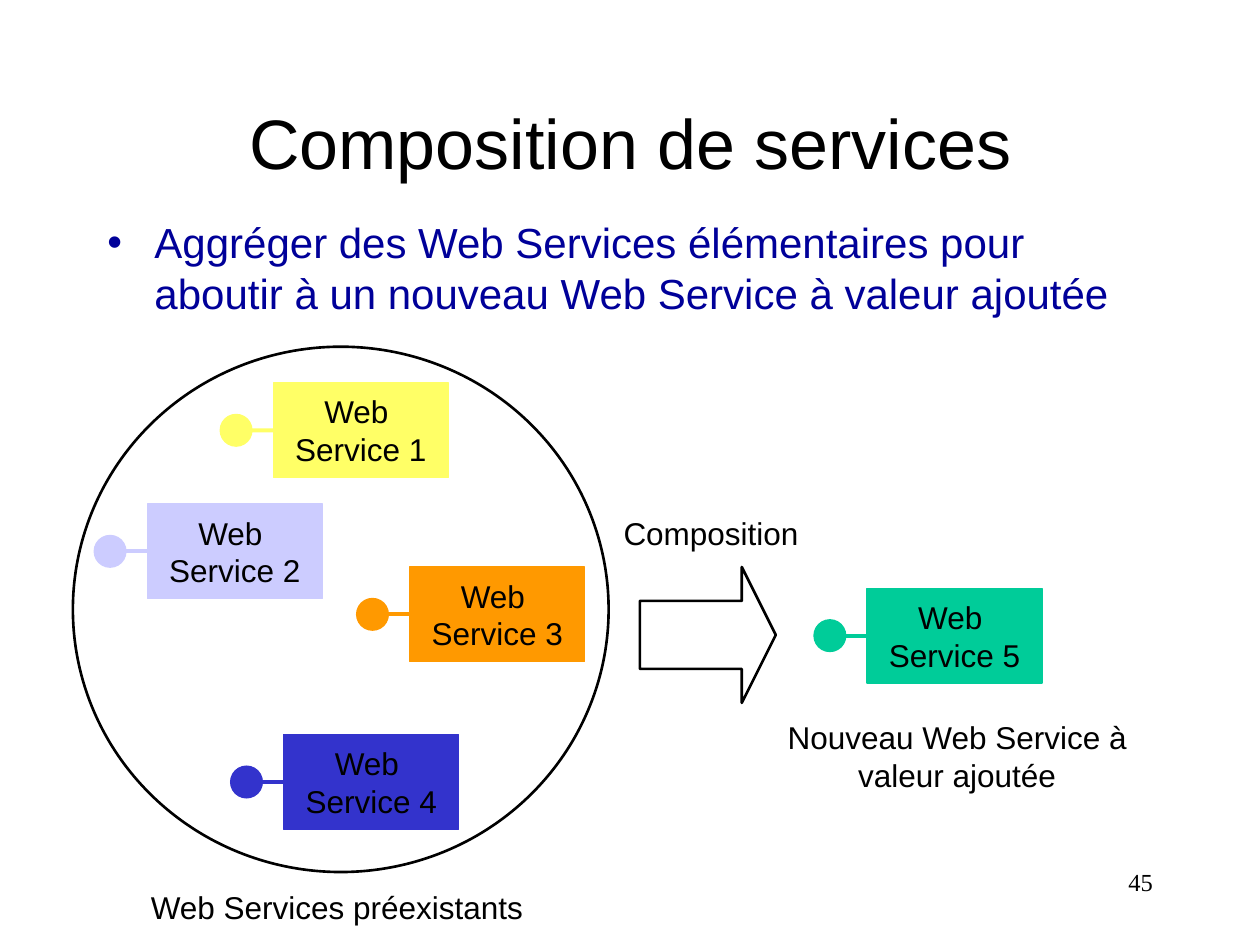
"""Build the slide on composing elementary web services into a new one."""
import dataclasses
from typing import Optional

import lxml.etree
import pptx
import pptx.dml.color
import pptx.enum.shapes
import pptx.enum.text
import pptx.oxml.ns
import pptx.util

Cm = pptx.util.Cm
Pt = pptx.util.Pt
qn = pptx.oxml.ns.qn
SHAPE = pptx.enum.shapes.MSO_SHAPE
ALIGN = pptx.enum.text.PP_ALIGN
ANCHOR = pptx.enum.text.MSO_ANCHOR
AUTO = pptx.enum.text.MSO_AUTO_SIZE

COLORS = {
    "black": "000000", "white": "FFFFFF", "navy": "000099",
    "yellow": "FFFF66", "lilac": "CCCCFF", "orange": "FF9900",
    "blue": "3333CC", "green": "00CC99",
}
BOX_W, BOX_H, DOT, DOT_GAP, STEM = 3.53, 1.91, 0.64, 1.07, 0.51


@dataclasses.dataclass
class Service:
    """A numbered web service box, placed by its top left corner in cm."""
    number: int
    color: str
    x: float
    y: float


@dataclasses.dataclass
class Label:
    """A text box with its place in cm and its text format."""
    text: str
    box: tuple
    align: ALIGN = ALIGN.CENTER
    size: float = 18
    font: str = "Arial"
    before: float = 11.2
    wrap: bool = True


PREEXISTING = [
    Service(2, "lilac", 2.97, 10.16),
    Service(3, "orange", 8.26, 11.43),
    Service(4, "blue", 5.72, 14.81),
    Service(1, "yellow", 5.51, 7.72),
]
COMPOSED = Service(5, "green", 17.48, 11.86)
LABELS = [
    Label("45", (18.21, 17.35, 5.28, 1.27), ALIGN.RIGHT, 14, "Times New Roman", 0),
    Label("Nouveau Web Service à valeur ajoutée", (15.27, 14.35, 8.05, 1.78)),
    Label("Web Services préexistants", (2.77, 17.78, 8.05, 1.02)),
    Label("Composition", (12.32, 10.24, 4.04, 1.02), ALIGN.LEFT, before=0, wrap=False),
]


def rgb(name: str) -> pptx.dml.color.RGBColor:
    """Return the named colour."""
    return pptx.dml.color.RGBColor.from_string(COLORS[name])


def apply(target, formats: dict) -> None:
    """Set each format value on the target."""
    for name, value in formats.items():
        setattr(target, name, value)


def write(tf, text: str, frame: dict, para: dict, size: float = 18,
          font: str = "Arial", color: str = "black"):
    """Fill a text frame with one formatted paragraph and return it."""
    apply(tf, frame)
    p = tf.paragraphs[0]
    p.text = text
    apply(p, para)
    for r in p.runs:
        apply(r.font, {"size": Pt(size), "name": font})
        r.font.color.rgb = rgb(color)
    return p


def place(sp, box: tuple) -> None:
    """Move and size a shape to a box in cm."""
    apply(sp, dict(zip(("left", "top", "width", "height"), map(Cm, box))))


def add_shape(s, kind: SHAPE, box: tuple, fill: Optional[str], line: str,
              width: float = 0.75):
    """Add a flat preset shape."""
    sp = s.shapes.add_shape(kind, *map(Cm, box))
    sp.shadow.inherit = False
    if fill:
        sp.fill.solid()
        sp.fill.fore_color.rgb = rgb(fill)
    else:
        sp.fill.background()
    sp.line.color.rgb = rgb(line)
    sp.line.width = Pt(width)
    return sp


def add_service(s, service: Service) -> None:
    """Draw a service box with its interface dot and stem."""
    x, y, color = service.x, service.y, service.color
    middle = y + BOX_H / 2
    box = add_shape(s, SHAPE.RECTANGLE, (x, y, BOX_W, BOX_H), color, color)
    write(box.text_frame, f"Web \vService {service.number}",
          {"word_wrap": False, "vertical_anchor": ANCHOR.MIDDLE},
          {"alignment": ALIGN.CENTER})
    add_shape(s, SHAPE.OVAL, (x - DOT_GAP, middle - DOT / 2, DOT, DOT), color, color)
    stem = s.shapes.add_connector(
        pptx.enum.shapes.MSO_CONNECTOR.STRAIGHT,
        Cm(x - STEM), Cm(middle), Cm(x), Cm(middle))
    stem.end_connect(box, 1)
    stem.line.color.rgb = rgb(color)
    stem.line.width = Pt(2.25)
    lxml.etree.SubElement(stem._element.spPr, qn("a:effectLst"))


def add_label(s, label: Label) -> None:
    """Add a text box."""
    sp = s.shapes.add_textbox(*map(Cm, label.box))
    write(sp.text_frame, label.text, {"word_wrap": label.wrap},
          {"alignment": label.align, "space_before": Pt(label.before)},
          label.size, label.font)


def add_bullet(p, color: str) -> None:
    """Give a paragraph a hanging coloured bullet."""
    pPr = p._p.get_or_add_pPr()
    pPr.set("marL", str(Cm(0.95)))
    pPr.set("indent", str(Cm(-0.95)))
    clr = lxml.etree.SubElement(pPr, qn("a:buClr"))
    lxml.etree.SubElement(clr, qn("a:srgbClr"), val=COLORS[color])
    lxml.etree.SubElement(pPr, qn("a:buFont"), typeface="Arial")
    lxml.etree.SubElement(pPr, qn("a:buChar"), char="•")


def main() -> None:
    """Build and save the slide."""
    prs = pptx.Presentation()
    apply(prs, {"slide_width": Cm(25.4), "slide_height": Cm(19.05)})
    s = prs.slides.add_slide(prs.slide_layouts[1])

    title, body = s.placeholders
    place(title, (1.91, 1.27, 21.59, 3.18))
    write(title.text_frame, "Composition de services",
          {"vertical_anchor": ANCHOR.MIDDLE, "auto_size": AUTO.NONE},
          {"alignment": ALIGN.CENTER}, 40)
    place(body, (1.91, 4.24, 21.59, 11.43))
    p = write(body.text_frame,
              "Aggréger des Web Services élémentaires pour aboutir "
              "à un nouveau Web Service à valeur ajoutée",
              {"auto_size": AUTO.NONE}, {"space_before": Pt(6)}, 24, color="navy")
    add_bullet(p, "navy")

    for service in PREEXISTING:
        add_service(s, service)
    add_shape(s, SHAPE.OVAL, (1.47, 6.99, 10.8, 10.59), None, "black", 1.5)
    arrow = add_shape(s, SHAPE.RIGHT_ARROW, (12.9, 11.43, 2.74, 2.74),
                      "white", "black", 1.5)
    arrow.adjustments[0], arrow.adjustments[1] = 0.5, 0.25
    add_service(s, COMPOSED)
    for label in LABELS:
        add_label(s, label)
    prs.save("out.pptx")


if __name__ == "__main__":
    main()
